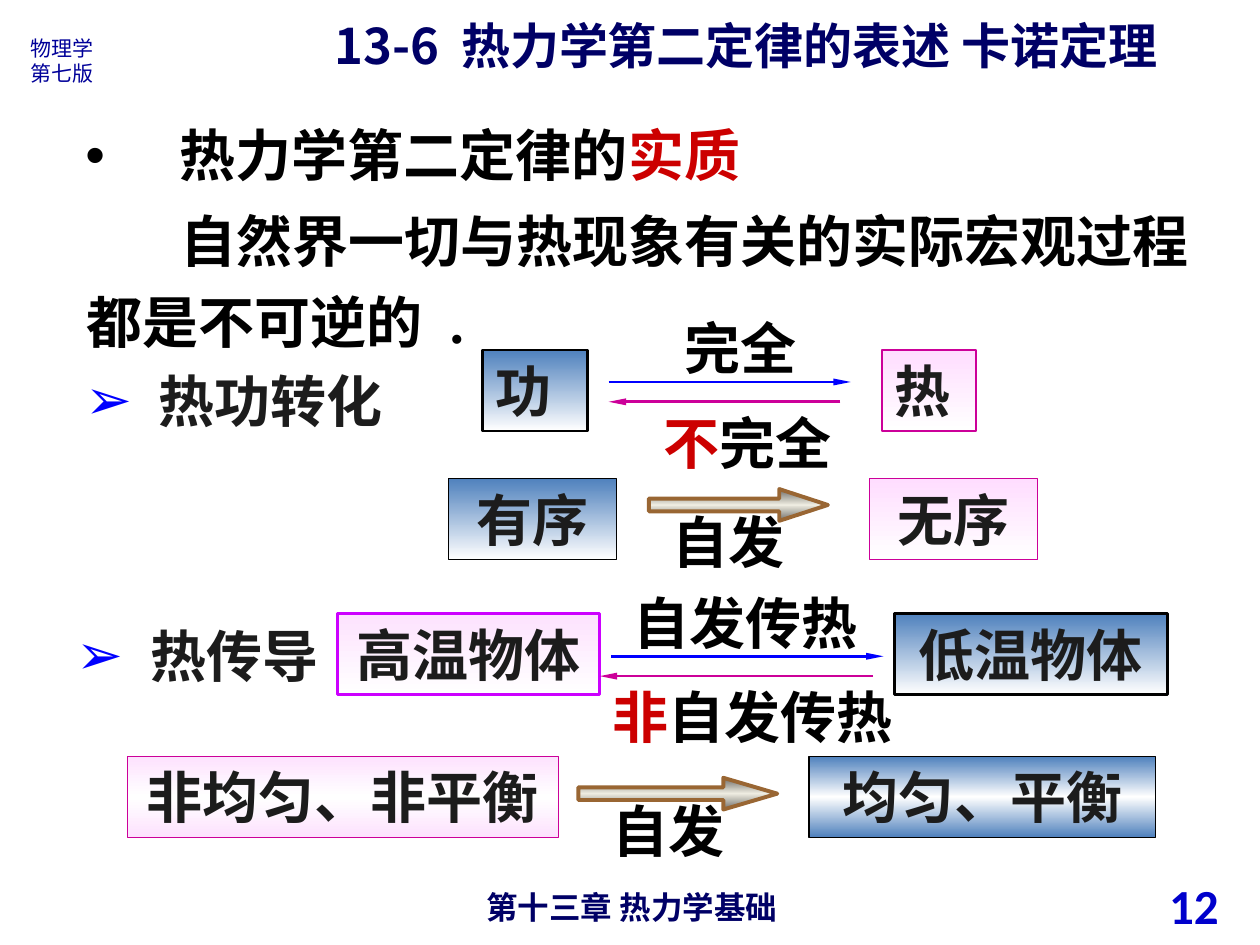
import pptx
import pptx.util
import pptx.dml.color
import pptx.enum.shapes
import pptx.enum.text
import pptx.oxml.ns
from lxml import etree

Cm, Pt = pptx.util.Cm, pptx.util.Pt
qn = pptx.oxml.ns.qn
ALIGN = pptx.enum.text.PP_ALIGN
ANCHOR = pptx.enum.text.MSO_ANCHOR
SHAPES = pptx.enum.shapes.MSO_SHAPE

COLORS = {
    "navy": "000066", "edition": "000099", "number": "0000CC",
    "black": "000000", "ink": "1C1C1C", "red": "CC0000", "blue": "0000FF",
    "magenta": "CC0099", "violet": "CC00FF", "steel": "4F81BD",
    "pink": "FFDDFF", "rose": "FDE2FE", "white": "FFFFFF",
    "stone": "6E6D68", "cream": "EEECE1", "brown": "996633",
}
CJK = "Noto Sans CJK SC"
ROW_HEIGHT = 1.63


def color(name):
    return pptx.dml.color.RGBColor.from_string(COLORS[name])


def add_run(paragraph, text, ink, font="Arial", size=32, bold=True, tracking=0):
    run = paragraph.add_run()
    run.text = text
    run.font.name, run.font.size, run.font.bold = font, Pt(size), bold
    run.font.color.rgb = color(ink)
    properties = run.font._element
    etree.SubElement(properties, qn("a:ea"), typeface=CJK)
    if tracking:
        properties.set("spc", str(tracking * 100))


def set_indent(paragraph, margin, indent, bullet=None, ink=None):
    properties = paragraph._p.get_or_add_pPr()
    properties.set("marL", str(Cm(margin)))
    properties.set("indent", str(Cm(indent)))
    if bullet:
        bullet_color = etree.SubElement(properties, qn("a:buClr"))
        etree.SubElement(bullet_color, qn("a:srgbClr"), val=COLORS[ink])
        etree.SubElement(properties, qn("a:buFont"), typeface="Arial")
        etree.SubElement(properties, qn("a:buChar"), char=bullet)


def prepare_frame(shape, anchor=ANCHOR.TOP):
    frame = shape.text_frame
    frame.word_wrap = True
    frame.auto_size = pptx.enum.text.MSO_AUTO_SIZE.NONE
    frame.vertical_anchor = anchor
    frame.margin_left = frame.margin_right = Cm(0.25)
    frame.margin_top = frame.margin_bottom = Cm(0.13)
    return frame


def add_text(slide, box, anchor=ANCHOR.TOP, align=ALIGN.LEFT):
    shape = slide.shapes.add_textbox(*map(Cm, box))
    paragraph = prepare_frame(shape, anchor).paragraphs[0]
    paragraph.alignment = align
    return paragraph


def add_gradient_shape(slide, kind, box, fills, line, width):
    shape = slide.shapes.add_shape(kind, *map(Cm, box))
    shape.shadow.inherit = False
    shape.fill.gradient()
    shape.fill.gradient_angle = 270
    stops = shape._element.spPr.find(qn("a:gradFill")).find(qn("a:gsLst"))
    for stop in list(stops):
        stops.remove(stop)
    for index, name in enumerate(fills):
        position = str(100000 * index // (len(fills) - 1))
        stop = etree.SubElement(stops, qn("a:gs"), pos=position)
        etree.SubElement(stop, qn("a:srgbClr"), val=COLORS[name])
    shape.line.color.rgb = color(line)
    shape.line.width = Pt(width)
    return shape


def add_state(slide, left, top, state):
    """A framed state: text, width, gradient colours, line colour, line width."""
    text, width, fills, line, weight = state
    shape = add_gradient_shape(slide, SHAPES.RECTANGLE,
                               (left, top, width, ROW_HEIGHT), fills, line, weight)
    paragraph = prepare_frame(shape).paragraphs[0]
    paragraph.alignment = ALIGN.LEFT if len(text) == 1 else ALIGN.CENTER
    add_run(paragraph, text, "ink")


def add_arrow_line(slide, start, end, top, ink):
    line = slide.shapes.add_connector(pptx.enum.shapes.MSO_CONNECTOR.STRAIGHT,
                                      Cm(start), Cm(top), Cm(end), Cm(top))
    line.line.color.rgb = color(ink)
    line.line.width = Pt(1.5)
    etree.SubElement(line.line._get_or_add_ln(), qn("a:tailEnd"),
                     type="triangle", w="sm", len="lg")
    etree.SubElement(line._element.spPr, qn("a:effectLst"))


def add_header(slide, left, top):
    # Section title
    title = slide.shapes.title
    title.left, title.top, title.width, title.height = map(
        Cm, (left + 6.14, top, 18.62, 1.45))
    paragraph = prepare_frame(title).paragraphs[0]
    paragraph.alignment = ALIGN.LEFT
    add_run(paragraph, "13-6", "navy", CJK, 28)
    add_run(paragraph, " ", "navy", CJK, 28, tracking=6)
    add_run(paragraph, "热力学第二定律的表述 卡诺定理", "navy", CJK, 28)

    # Book and edition
    edition = slide.shapes.add_textbox(*map(Cm, (left, top + 0.4, 1.83, 1.27)))
    frame = prepare_frame(edition)
    add_run(frame.paragraphs[0], "物理学", "edition", CJK, 12, False)
    add_run(frame.add_paragraph(), "第七版", "edition", CJK, 12, False)


def add_footer(slide, left, top):
    chapter = add_text(slide, (left, top + 0.05, 8.05, 0.74), align=ALIGN.CENTER)
    add_run(chapter, "第十三章 热力学基础", "navy", CJK, 18)
    number = add_text(slide, (left + 10.19, top, 5.92, 1.02), ANCHOR.MIDDLE, ALIGN.RIGHT)
    add_run(number, "12", "number", "Calibri", 28)


def add_statement(slide, left, top):
    heading = add_text(slide, (left, top, 15.04, ROW_HEIGHT))
    set_indent(heading, 1.9, -1.9, "•", "black")
    add_run(heading, "热力学第二定律的", "black", "Times New Roman")
    add_run(heading, "实质", "red", "Times New Roman")

    body = add_text(slide, (left + 0.03, top + 1.45, 23.06, 3.5))
    set_indent(body, 0, 1.88)
    body.line_spacing = 1.2
    add_run(body, "自然界一切与热现象有关的实际宏观过程都是不可逆的", "black")
    add_run(body, " ", "black", tracking=8)
    add_run(body, ".", "black", "Times New Roman")


def add_exchange(slide, left, top, label, label_drop, state_drop, source, sink,
                 forward, backward):
    """Two states joined by a forward and a backward arrow, with a bullet label."""
    paragraph = add_text(slide, (left, top + label_drop, 6.6, ROW_HEIGHT))
    set_indent(paragraph, 1.48, -1.48, "➢", "blue")
    add_run(paragraph, label, "ink")
    for offset, state in (source, sink):
        add_state(slide, left + offset, top + state_drop, state)

    text, text_offset, start, end = forward
    add_run(add_text(slide, (left + text_offset, top, 5.92, ROW_HEIGHT)), text, "black")
    add_arrow_line(slide, left + start, left + end, top + 1.5, "blue")

    negation, text, text_offset, start, end = backward
    paragraph = add_text(slide, (left + text_offset, top + 1.9, 6.58, ROW_HEIGHT))
    add_run(paragraph, negation, "red")
    add_run(paragraph, text, "black")
    add_arrow_line(slide, left + start, left + end, top + 1.9, "magenta")


def add_spontaneous(slide, left, top, source, sink, arrow, text_offset):
    """Two states joined by a block arrow for the spontaneous direction."""
    add_state(slide, left, top, source)
    add_state(slide, left + sink[0], top, sink[1])
    offset, drop, width, head = arrow
    block = add_gradient_shape(slide, SHAPES.RIGHT_ARROW,
                               (left + offset, top + drop, width, 0.64),
                               ("stone", "cream", "stone"), "brown", 2.25)
    block.adjustments[0], block.adjustments[1] = 0.4, head
    paragraph = add_text(slide, (left + text_offset, top + drop + 0.25, 4, ROW_HEIGHT))
    add_run(paragraph, "自发", "black")


def main():
    presentation = pptx.Presentation()
    presentation.slide_width, presentation.slide_height = Cm(25.4), Cm(19.05)
    slide = presentation.slides.add_slide(presentation.slide_layouts[5])

    add_header(slide, 0.36, 0.18)
    add_statement(slide, 1.47, 2.31)

    # Work and heat
    add_exchange(slide, 1.47, 6.2, "热功转化", 1.06, 0.86,
                 (8.26, ("功", 2.11, ("steel", "white"), "black", 1.5)),
                 (16.31, ("热", 1.9, ("pink", "white"), "magenta", 1.5)),
                 ("完全", 12.07, 10.8, 15.68), ("不", "完全", 11.66, 15.47, 10.8))
    add_spontaneous(slide, 9.04, 9.65,
                    ("有序", 3.38, ("steel", "white"), "black", 0.5),
                    (8.49, ("无序", 3.38, ("pink", "white"), "magenta", 0.75)),
                    (4.04, 0.21, 3.61, 1.53), 4.27)

    # Heat conduction
    add_exchange(slide, 1.3, 11.73, "热传导", 0.67, 0.64,
                 (5.51, ("高温物体", 5.28, ("rose", "white"), "violet", 1.5)),
                 (16.73, ("低温物体", 5.51, ("steel", "white"), "black", 1.5)),
                 ("自发传热", 11.22, 11.02, 16.51), ("非", "自发传热", 10.79, 16.3, 10.79))
    add_spontaneous(slide, 2.57, 15.25,
                    ("非均匀、非平衡", 8.69, ("rose", "white", "rose"), "magenta", 0.75),
                    (13.74, ("均匀、平衡", 6.99, ("steel", "white", "steel"), "black", 0.75)),
                    (9.09, 0.43, 4.01, 1.7), 9.52)

    add_footer(slide, 8.71, 17.73)
    presentation.save("out.pptx")


if __name__ == "__main__":
    main()
